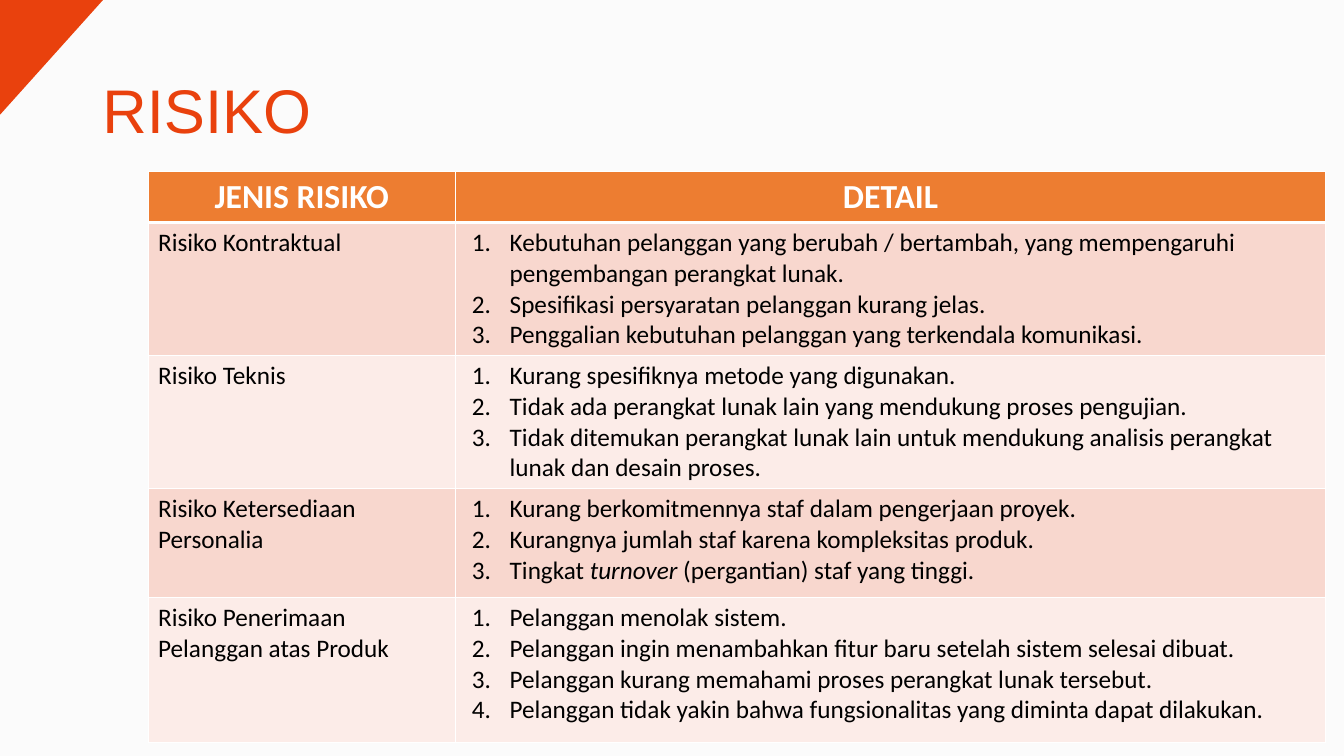
"""Build the RISIKO slide: a title, a corner triangle and a risk table."""
from pptx import Presentation
from pptx.dml.color import RGBColor
from pptx.enum import shapes, text
from pptx.oxml import ns, xmlchemy
from pptx.util import Pt

BACKGROUND = RGBColor(0xFB, 0xFB, 0xFB)
ACCENT = RGBColor(0xE9, 0x41, 0x0D)
HEADER = RGBColor(0xED, 0x7D, 0x31)
BANDS = [RGBColor(0xF8, 0xD7, 0xCE), RGBColor(0xFC, 0xEC, 0xE8)]
WHITE = RGBColor(0xFF, 0xFF, 0xFF)
BLACK = RGBColor(0x00, 0x00, 0x00)

TITLE_FONT = {"name": "Arial", "size": Pt(44), "color": ACCENT}
HEAD_FONT = {"name": "Calibri", "size": Pt(24), "bold": True, "color": WHITE}
BODY_FONT = {"name": "Calibri", "size": Pt(18), "bold": False, "color": BLACK}

COLUMNS = [219.6, 621.4]
ROWS = [25.9, 77.8, 77.8, 77.8, 103.7]
HEADINGS = ["JENIS RISIKO", "DETAIL"]
RISKS = [
    ("Risiko Kontraktual", [
        "Kebutuhan pelanggan yang berubah / bertambah, yang mempengaruhi "
        "pengembangan perangkat lunak.",
        "Spesifikasi persyaratan pelanggan kurang jelas.",
        "Penggalian kebutuhan pelanggan yang terkendala komunikasi.",
    ]),
    ("Risiko Teknis", [
        "Kurang spesifiknya metode yang digunakan.",
        "Tidak ada perangkat lunak lain yang mendukung proses pengujian.",
        "Tidak ditemukan perangkat lunak lain untuk mendukung analisis "
        "perangkat lunak dan desain proses.",
    ]),
    ("Risiko Ketersediaan Personalia", [
        "Kurang berkomitmennya staf dalam pengerjaan proyek.",
        "Kurangnya jumlah staf karena kompleksitas produk.",
        "Tingkat *turnover* (pergantian) staf yang tinggi.",
    ]),
    ("Risiko Penerimaan Pelanggan atas Produk", [
        "Pelanggan menolak sistem.",
        "Pelanggan ingin menambahkan fitur baru setelah sistem selesai dibuat.",
        "Pelanggan kurang memahami proses perangkat lunak tersebut.",
        "Pelanggan tidak yakin bahwa fungsionalitas yang diminta dapat dilakukan.",
    ]),
]


def set_attrs(obj, values):
    """Set each attribute named in a dict of values."""
    for name, value in values.items():
        setattr(obj, name, value)


def add_run(p, content, font):
    """Append a formatted run to a paragraph."""
    r = p.add_run()
    r.text = content
    for name, value in font.items():
        if name == "color":
            r.font.color.rgb = value
        else:
            setattr(r.font, name, value)


def add_marked_text(p, content, font):
    """Append runs, with the parts between asterisks in italics."""
    for i, part in enumerate(content.split("*")):
        add_run(p, part, {**font, "italic": i % 2 == 1})


def add_sub(parent, tag, **attrs):
    """Append a child XML element with attributes."""
    el = xmlchemy.OxmlElement(tag)
    for name, value in attrs.items():
        el.set(name, str(value))
    parent.append(el)
    return el


def number_paragraph(p):
    """Give a paragraph an automatic number and a hanging indent."""
    p.level = 1
    pPr = p._p.get_or_add_pPr()
    pPr.set("marL", str(Pt(31.5)))
    pPr.set("indent", str(-Pt(27)))
    add_sub(pPr, "a:buFont", typeface="+mj-lt")
    add_sub(pPr, "a:buAutoNum", type="arabicPeriod")


def style_cell(cell, color, top, bottom):
    """Draw white borders around a cell and fill it."""
    tcPr = cell._tc.get_or_add_tcPr()
    for side, width in zip("LRTB", (1, 1, top, bottom)):
        ln = add_sub(tcPr, f"a:ln{side}", w=Pt(width))
        fill = add_sub(ln, "a:solidFill")
        add_sub(fill, "a:srgbClr", val=WHITE)
    cell.fill.solid()
    cell.fill.fore_color.rgb = color


def fill_title(s):
    """Place and format the title placeholder."""
    sp = s.shapes.title
    set_attrs(sp, {"left": Pt(66), "top": Pt(28.8),
                   "width": Pt(373), "height": Pt(104.4)})
    set_attrs(sp.text_frame, {"vertical_anchor": text.MSO_ANCHOR.MIDDLE,
                              "word_wrap": True})
    p = sp.text_frame.paragraphs[0]
    set_attrs(p, {"alignment": text.PP_ALIGN.LEFT, "line_spacing": 0.9})
    add_run(p, "RISIKO", TITLE_FONT)


def add_corner(s):
    """Draw the triangle in the top left corner."""
    sp = s.shapes.add_shape(shapes.MSO_SHAPE.ISOSCELES_TRIANGLE,
                            Pt(-5.8), Pt(2.9), Pt(85), Pt(76.3))
    sp.adjustments[0] = 0
    sp.rotation = 90
    sp.shadow.inherit = False
    sp.fill.solid()
    sp.fill.fore_color.rgb = ACCENT
    sp.line.fill.background()


def add_risk_table(s):
    """Add the table of risk types and their numbered details."""
    table = s.shapes.add_table(len(ROWS), len(COLUMNS), Pt(105.8), Pt(122.4),
                               Pt(sum(COLUMNS)), Pt(sum(ROWS))).table
    table.horz_banding = False
    for column, width in zip(table.columns, COLUMNS):
        column.width = Pt(width)
    for row, height in zip(table.rows, ROWS):
        row.height = Pt(height)
    for cell, heading in zip(table.rows[0].cells, HEADINGS):
        style_cell(cell, HEADER, 1, 3)
        p = cell.text_frame.paragraphs[0]
        p.alignment = text.PP_ALIGN.CENTER
        add_run(p, heading, HEAD_FONT)
    for i, (risk, details) in enumerate(RISKS):
        kind, detail = table.rows[i + 1].cells
        for cell in (kind, detail):
            style_cell(cell, BANDS[i % 2], 1 if i else 3, 1)
        add_run(kind.text_frame.paragraphs[0], risk, BODY_FONT)
        tf = detail.text_frame
        for j, item in enumerate(details):
            p = tf.add_paragraph() if j else tf.paragraphs[0]
            number_paragraph(p)
            add_marked_text(p, item, BODY_FONT)


def main():
    """Build and save the presentation."""
    prs = Presentation()
    set_attrs(prs, {"slide_width": Pt(960), "slide_height": Pt(540)})
    s = prs.slides.add_slide(prs.slide_layouts[5])
    s.background.fill.solid()
    s.background.fill.fore_color.rgb = BACKGROUND
    fill_title(s)
    add_corner(s)
    add_risk_table(s)
    prs.save("out.pptx")


if __name__ == "__main__":
    main()
